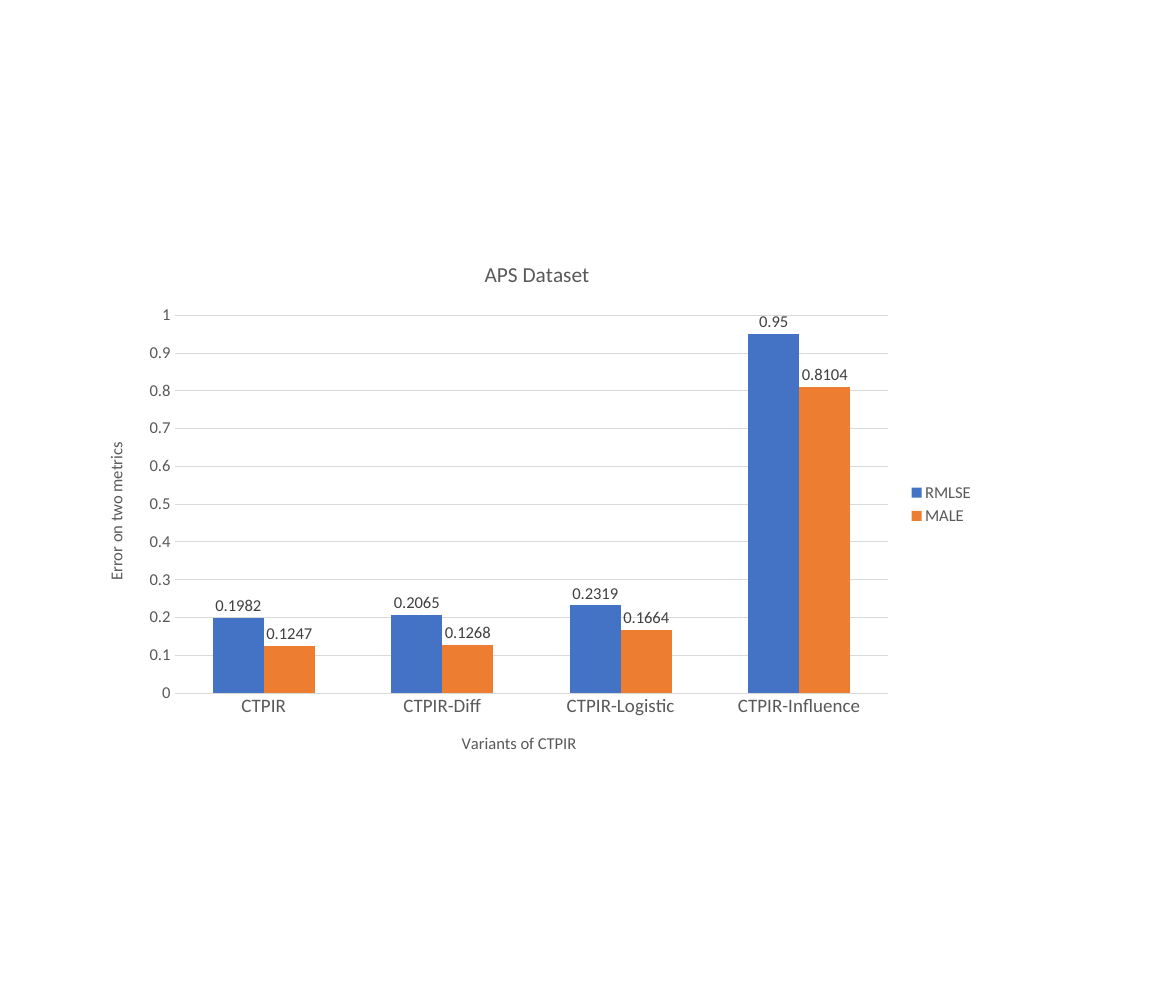
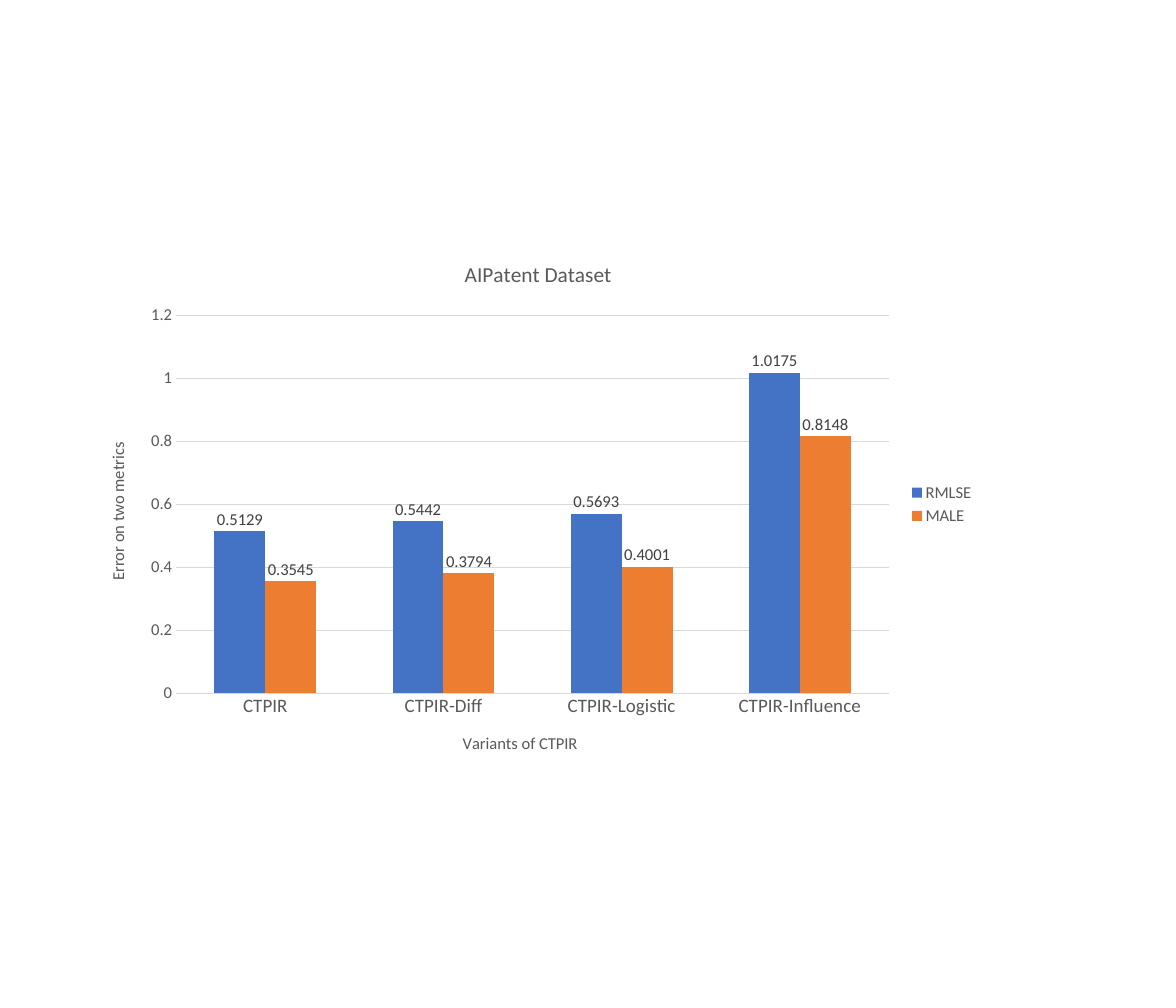
from pptx import Presentation
from pptx.chart.data import CategoryChartData
from pptx.dml.color import RGBColor
from pptx.enum.chart import XL_CHART_TYPE, XL_LABEL_POSITION, XL_LEGEND_POSITION, XL_TICK_MARK
from pptx.util import Inches, Pt

COLUMNS = XL_CHART_TYPE.COLUMN_CLUSTERED
OUTSIDE_END = XL_LABEL_POSITION.OUTSIDE_END
LEGEND_RIGHT = XL_LEGEND_POSITION.RIGHT
TICK_NONE = XL_TICK_MARK.NONE
TICK_OUTSIDE = XL_TICK_MARK.OUTSIDE

TEXT_GREY = RGBColor(0x59, 0x59, 0x59)
LABEL_GREY = RGBColor(0x40, 0x40, 0x40)
LINE_GREY = RGBColor(0xD9, 0xD9, 0xD9)
METRIC_COLORS = {
    "RMLSE": RGBColor(0x44, 0x72, 0xC4),
    "MALE": RGBColor(0xED, 0x7D, 0x31),
}
VARIANTS = ["CTPIR", "CTPIR-Diff", "CTPIR-Logistic", "CTPIR-Influence"]

DATASETS = [
    {
        "title": "APS Dataset", "left": 2.21, "width": 20.75, "top_value": 1, "step": 0.1,
        "errors": {
            "RMLSE": [0.1982, 0.2065, 0.2319, 0.95],
            "MALE": [0.1247, 0.1268, 0.1664, 0.8104],
        },
    },
    {
        "title": "AIPatent Dataset", "left": 2.25, "width": 20.72, "top_value": 1.2, "step": 0.2,
        "errors": {
            "RMLSE": [0.5129, 0.5442, 0.5693, 1.0175],
            "MALE": [0.3545, 0.3794, 0.4001, 0.8148],
        },
    },
]


def style_font(font, size, color=TEXT_GREY):
    font.name = "Calibri"
    font.size = Pt(size)
    font.bold = False
    font.color.rgb = color


def set_title(owner, text, size):
    owner.has_title = True
    frame = owner.chart_title.text_frame if hasattr(owner, "chart_title") else owner.axis_title.text_frame
    frame.text = text
    style_font(frame.paragraphs[0].font, size)


prs = Presentation()
prs.slide_width = Inches(27.56)
prs.slide_height = Inches(23.62)
blank = prs.slide_layouts[6]

for dataset in DATASETS:
    slide = prs.slides.add_slide(blank)
    chart_data = CategoryChartData()
    chart_data.categories = VARIANTS
    for metric, errors in dataset["errors"].items():
        chart_data.add_series(metric, errors)
    chart = slide.shapes.add_chart(
        COLUMNS, Inches(dataset["left"]), Inches(5.69),
        Inches(dataset["width"]), Inches(12.25), chart_data,
    ).chart
    chart.font.name = "Calibri"
    chart.font.size = Pt(10)
    set_title(chart, dataset["title"], 36)
    chart.chart_title.include_in_layout = False

    chart.has_legend = True
    chart.legend.position = LEGEND_RIGHT
    chart.legend.include_in_layout = False
    style_font(chart.legend.font, 28)

    variant_axis = chart.category_axis
    set_title(variant_axis, "Variants of CTPIR", 28)
    style_font(variant_axis.tick_labels.font, 32)
    variant_axis.major_tick_mark = TICK_NONE
    variant_axis.format.line.color.rgb = LINE_GREY
    variant_axis.format.line.width = Pt(0.75)

    error_axis = chart.value_axis
    set_title(error_axis, "Error on two metrics", 28)
    style_font(error_axis.tick_labels.font, 28)
    error_axis.major_tick_mark = TICK_OUTSIDE
    error_axis.minimum_scale = 0
    error_axis.maximum_scale = dataset["top_value"]
    error_axis.major_unit = dataset["step"]
    error_axis.format.line.fill.background()
    error_axis.major_gridlines.format.line.color.rgb = LINE_GREY
    error_axis.major_gridlines.format.line.width = Pt(0.75)

    plot = chart.plots[0]
    plot.gap_width = 150
    plot.overlap = 0
    plot.vary_by_categories = False
    for series in plot.series:
        series.format.fill.solid()
        series.format.fill.fore_color.rgb = METRIC_COLORS[series.name]
        labels = series.data_labels
        labels.show_value = True
        labels.position = OUTSIDE_END
        style_font(labels.font, 28, LABEL_GREY)

prs.save("out.pptx")
